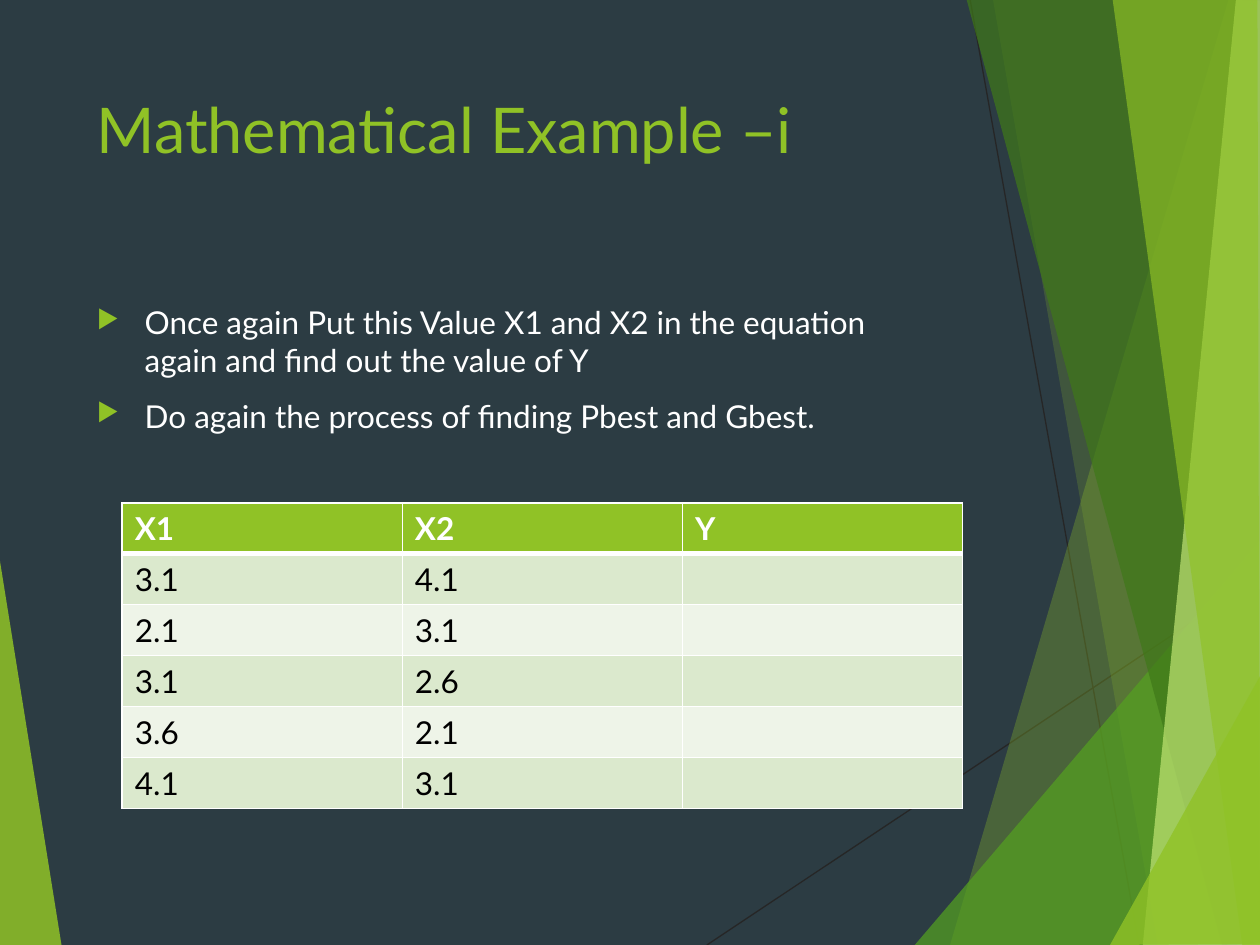
from lxml import etree
from pptx import Presentation
from pptx import util as u
from pptx.dml import color
from pptx.enum import shapes, text
from pptx.oxml import ns


def rgb(value):
    return color.RGBColor.from_string(value)


def add_text(p, content, size=18, fill="FFFFFF", bold=False):
    r = p.add_run()
    r.text = content
    r.font.name = "Lato"
    r.font.size = u.Pt(size)
    r.font.bold = bold
    r.font.color.rgb = rgb(fill)


prs = Presentation()
prs.slide_width, prs.slide_height = u.Inches(10), u.Inches(7.5)
s = prs.slides.add_slide(prs.slide_layouts[6])
s.background.fill.solid()
s.background.fill.fore_color.rgb = rgb("2C3C43")

for x1, y1, x2, y2 in [(5.61, 7.5, 10.01, 4.57), (7.7, 0, 9.04, 7.5)]:
    line = s.shapes.add_connector(
        shapes.MSO_CONNECTOR.STRAIGHT,
        u.Inches(x1), u.Inches(y1), u.Inches(x2), u.Inches(y2))
    line.line.color.rgb = rgb("262626")
    line.line.width = u.Pt(0.75)
    etree.SubElement(line._element.spPr, ns.qn("a:effectLst"))

facets = [
    ("90C226", 85, [(-0.01, 4.39), (0.49, 7.51), (-0.01, 7.5)]),
    ("90C226", 30, [(9.75, 0), (7.54, 7.5), (10.02, 7.51), (10.01, 0.01)]),
    ("90C226", 20, [(7.88, -0.01), (9.19, 7.5), (10.01, 7.5), (10.01, -0.01)]),
    ("54A021", 72, [(7.26, 7.5), (10, 4.29), (10.01, 7.5)]),
    ("3F7819", 70, [(7.67, -0.01), (9.7, 7.5), (10.01, 7.49), (10.01, -0.01)]),
    ("C0E474", 70, [(9.81, -0.01), (9.07, 7.5), (10.01, 7.5), (10, -0.01)]),
    ("90C226", 65, [(8.83, -0.01), (9.86, 7.5), (10, 7.5), (9.98, -0.01)]),
    ("90C226", 80, [(8.81, 7.5), (10.01, 5.35), (10.01, 7.49)]),
]
for fill, opacity, points in facets:
    corners = [(u.Inches(x), u.Inches(y)) for x, y in points]
    builder = s.shapes.build_freeform(*corners[0])
    builder.add_line_segments(corners[1:], close=True)
    sp = builder.convert_to_shape()
    sp.shadow.inherit = False
    sp.line.fill.background()
    sp.fill.solid()
    sp.fill.fore_color.rgb = rgb(fill)
    clr = sp._element.spPr.find(ns.qn("a:solidFill"))[0]
    etree.SubElement(clr, ns.qn("a:alpha"), val=str(opacity * 1000))

title = s.shapes.add_textbox(u.Inches(0.67), u.Inches(0.67), u.Inches(6.94), u.Inches(1.44))
title.text_frame.word_wrap = True
add_text(title.text_frame.paragraphs[0], "Mathematical Example –i", size=36, fill="90C226")

body = s.shapes.add_textbox(u.Inches(0.67), u.Inches(2.36), u.Inches(6.94), u.Inches(1.5))
tf = body.text_frame
tf.word_wrap = True
bullets = [
    "Once again Put this Value X1 and X2 in the equation again and find out the value of Y",
    "Do again the process of finding Pbest and Gbest.",
]
for i, content in enumerate(bullets):
    p = tf.add_paragraph() if i else tf.paragraphs[0]
    pPr = p._p.get_or_add_pPr()
    pPr.set("marL", str(u.Inches(0.38)))
    pPr.set("indent", str(u.Inches(-0.38)))
    bu_clr = etree.SubElement(pPr, ns.qn("a:buClr"))
    etree.SubElement(bu_clr, ns.qn("a:srgbClr"), val="90C226")
    etree.SubElement(pPr, ns.qn("a:buSzPct"), val="80000")
    etree.SubElement(pPr, ns.qn("a:buChar"), char="▶")
    p.space_before = u.Pt(10 if i else 0)
    add_text(p, content)

rows = [
    ("X1", "X2", "Y"),
    ("3.1", "4.1", ""),
    ("2.1", "3.1", ""),
    ("3.1", "2.6", ""),
    ("3.6", "2.1", ""),
    ("4.1", "3.1", ""),
]
table = s.shapes.add_table(
    len(rows), 3, u.Inches(0.97), u.Inches(3.99), u.Inches(6.67), u.Inches(2.43)).table
table.horz_banding = False
for i, row in enumerate(rows):
    header = i == 0
    for j, content in enumerate(row):
        cell = table.cell(i, j)
        tcPr = cell._tc.get_or_add_tcPr()
        for side in "LRTB":
            thick = (i, side) in [(0, "B"), (1, "T")]
            ln = etree.SubElement(tcPr, ns.qn("a:ln" + side), w=str(u.Pt(3 if thick else 1)))
            solid = etree.SubElement(ln, ns.qn("a:solidFill"))
            etree.SubElement(solid, ns.qn("a:srgbClr"), val="FFFFFF")
        cell.fill.solid()
        cell.fill.fore_color.rgb = rgb("90C226" if header else "DBE9CD" if i % 2 else "EEF4E8")
        cell.vertical_anchor = text.MSO_ANCHOR.TOP
        if content:
            add_text(cell.text_frame.paragraphs[0], content,
                     fill="FFFFFF" if header else "000000", bold=header)

prs.save("out.pptx")
